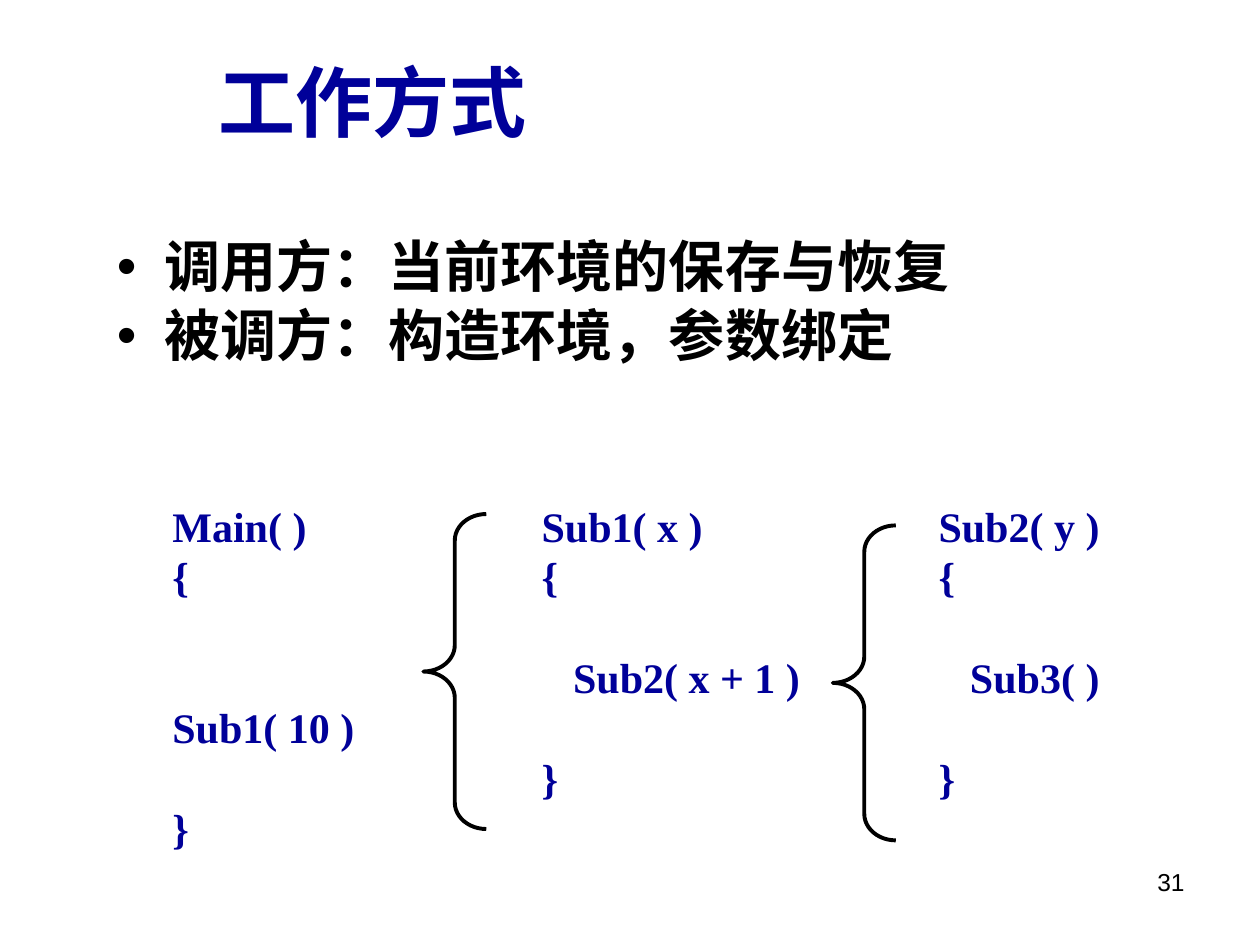
from pptx import Presentation
from pptx.dml.color import RGBColor
from pptx.enum.shapes import MSO_SHAPE
from pptx.enum.text import MSO_ANCHOR, PP_ALIGN
from pptx.oxml.ns import qn
from pptx.util import Inches, Pt
from lxml import etree

LEFT_BRACE = MSO_SHAPE.LEFT_BRACE
MIDDLE = MSO_ANCHOR.MIDDLE
CENTER, RIGHT = PP_ALIGN.CENTER, PP_ALIGN.RIGHT
NAVY = RGBColor(0x00, 0x00, 0x99)
BLACK = RGBColor(0x00, 0x00, 0x00)
CJK_FONT = "Noto Sans CJK JP"
CODE_LINE = Pt(28.8)


def add_box(left, top, width, height, wrap=True):
    box = page.shapes.add_textbox(
        Inches(left), Inches(top), Inches(width), Inches(height))
    box.text_frame.word_wrap = wrap
    return box.text_frame


def add_span(para, text, font, size, color, bold=True):
    """Add a run whose font covers Latin and East Asian characters."""
    span = para.add_run()
    span.text = text
    span.font.name = font
    span.font.size = Pt(size)
    span.font.bold = bold
    span.font.color.rgb = color
    east_asian = etree.SubElement(span.font._element, qn("a:ea"))
    east_asian.set("typeface", font)


deck = Presentation()
deck.slide_width, deck.slide_height = Inches(10), Inches(7.5)
page = deck.slides.add_slide(deck.slide_layouts[6])

# Page number
para = add_box(7.17, 6.83, 2.33, 0.52).paragraphs[0]
para.alignment = RIGHT
add_span(para, "31", "Arial", 14, BLACK, bold=False)

# Title
title = add_box(0.5, 0.31, 4.91, 0.98)
title.vertical_anchor = MIDDLE
para = title.paragraphs[0]
para.alignment = CENTER
add_span(para, "工作方式", CJK_FONT, 44, NAVY)

# Bullets
body = add_box(0.83, 1.85, 8.5, 1.44)
for index, text in enumerate(["调用方：当前环境的保存与恢复", "被调方：构造环境，参数绑定"]):
    para = body.add_paragraph() if index else body.paragraphs[0]
    para.line_spacing = 0.9
    if index:
        para.space_before = Pt(5)
    properties = para._p.get_or_add_pPr()
    properties.set("marL", str(Inches(0.38)))
    properties.set("indent", str(-Inches(0.38)))
    etree.SubElement(properties, qn("a:buFont")).set("typeface", "Arial")
    etree.SubElement(properties, qn("a:buChar")).set("char", "•")
    add_span(para, text, CJK_FONT, 32, BLACK)

# Call chain: each routine calls the next one
routines = [
    (1.27, 1.89, "Main( )", "   Sub1( 10 )"),
    (4.2, 2.25, "Sub1( x )", "   Sub2( x + 1 )"),
    (7.35, 1.48, "Sub2( y )", "   Sub3( )"),
]
for left, width, header, call in routines:
    code = add_box(left, 3.92, width, 2.5, wrap=False)
    for index, text in enumerate([header, "{", call, "}"]):
        para = code.add_paragraph() if index else code.paragraphs[0]
        para.line_spacing = CODE_LINE
        if index >= 2:
            para.space_before = CODE_LINE
        add_span(para, text, "Times New Roman", 24, NAVY)

# Braces that open each called routine
for left, top in [(3.36, 4.08), (6.61, 4.17)]:
    brace = page.shapes.add_shape(
        LEFT_BRACE, Inches(left), Inches(top), Inches(0.5), Inches(2.5))
    brace.adjustments[0] = 0.42
    brace.shadow.inherit = False
    brace.fill.background()
    brace.line.color.rgb = BLACK
    brace.line.width = Pt(2.25)

deck.save("out.pptx")
